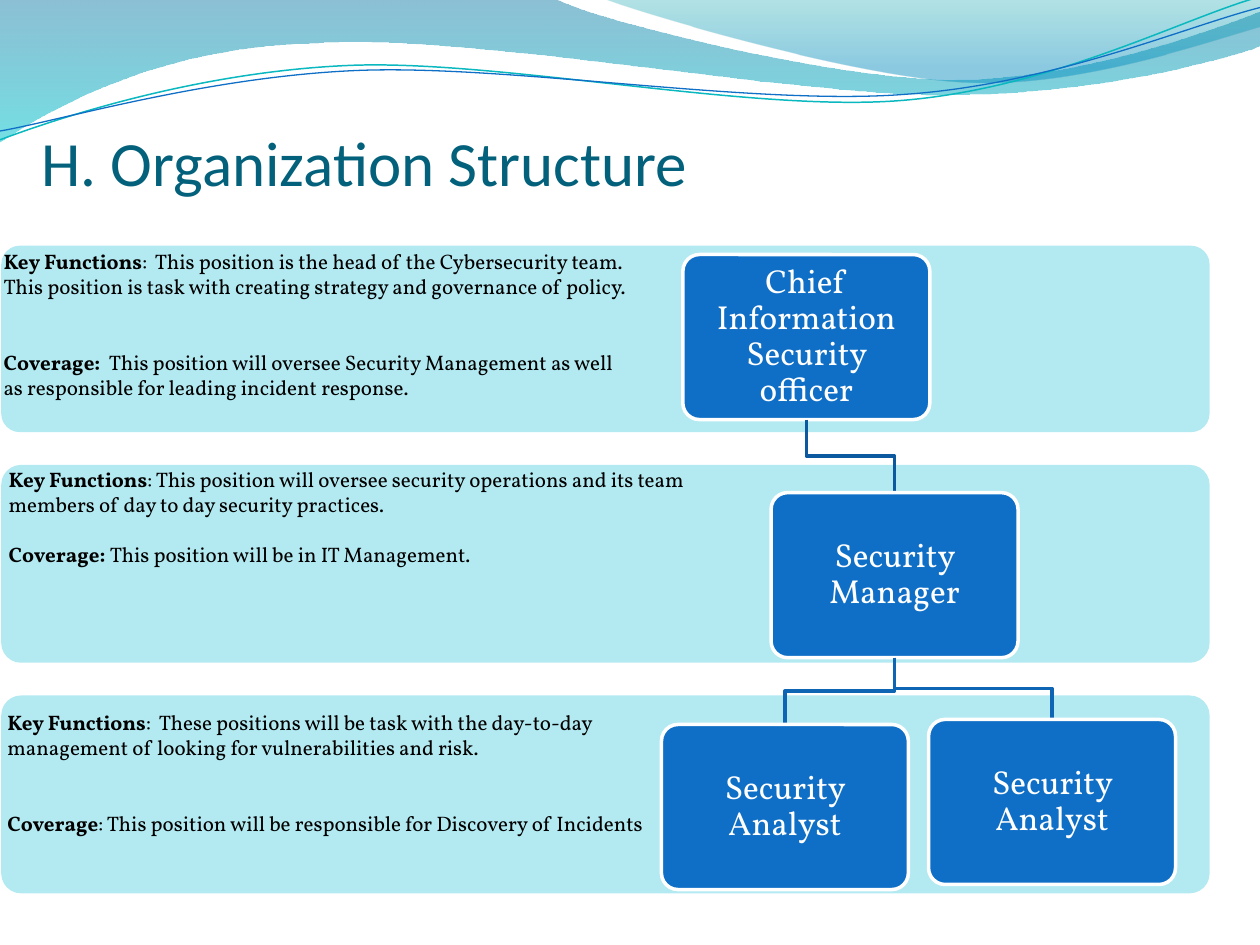
from lxml import etree
from pptx import Presentation
from pptx.dml.color import RGBColor
from pptx.enum.shapes import MSO_SHAPE
from pptx.enum.text import MSO_ANCHOR, PP_ALIGN
from pptx.oxml.ns import qn
from pptx.util import Inches, Pt

ROUND = MSO_SHAPE.ROUNDED_RECTANGLE
MIDDLE, BOTTOM = MSO_ANCHOR.MIDDLE, MSO_ANCHOR.BOTTOM
CENTER = PP_ALIGN.CENTER


def hue(code):
    return RGBColor.from_string(code)


def trace(start, parts, close=False):
    pen = slide.shapes.build_freeform(Inches(start[0]), Inches(start[1]))
    ends = [(Inches(part[-2]), Inches(part[-1])) for part in parts]
    pen.add_line_segments(ends, close=close)
    shape = pen.convert_to_shape()
    shape.shadow.inherit = False
    sides = list(shape.element.spPr.iter(qn("a:lnTo")))
    for side, part in zip(sides, parts):
        if len(part) == 6:
            bend = etree.Element(qn("a:cubicBezTo"))
            for x, y in zip(part[::2], part[1::2]):
                dot = etree.SubElement(bend, qn("a:pt"))
                dot.set("x", str(Inches(x) - shape.left))
                dot.set("y", str(Inches(y) - shape.top))
            side.getparent().replace(side, bend)
    return shape


deck = Presentation()
deck.slide_width, deck.slide_height = Inches(10), Inches(7.5)
slide = deck.slides.add_slide(deck.slide_layouts[6])

waves = [
    ((0, 0),
     [(4.4, -0.01), (4.76, 0.17, 6.64, 0.63, 7.58, 0.63),
      (8.53, 0.63, 9.58, 0.26, 10, 0.09), (10.01, 0.36),
      (9.83, 0.44, 8.7, 0.76, 7.46, 0.75),
      (6.22, 0.75, 3.82, 0.28, 2.57, 0.34),
      (1.29, 0.36, 0.46, 0.83, -0.01, 1.13), (0, 0)],
     [(0, "0074A1", 45), (1, "00C6CF", 55)]),
    ((4.79, -0.01),
     [(5.09, 0.11, 6.82, 0.62, 7.69, 0.65),
      (8.56, 0.69, 9.61, 0.32, 10, 0.21), (10, 0), (4.79, -0.01)],
     [(0, "00A1A9", 30), (0.8, "008BBF", 45)]),
]
for start, parts, stops in waves:
    wave = trace(start, parts, True)
    wave.line.fill.background()
    wave.fill.gradient()
    wave.fill.gradient_angle = 270
    for stop, (place, code, alpha) in zip(wave.fill.gradient_stops, stops):
        stop.position = place
        stop.color.rgb = hue(code)
    tones = wave.element.spPr.iter(qn("a:srgbClr"))
    for tone, (place, code, alpha) in zip(tones, stops):
        for old in list(tone):
            tone.remove(old)
        etree.SubElement(tone, qn("a:alpha")).set("val", str(alpha * 1000))

curves = [
    ((0, 1.11),
     [(0.48, 0.93, 1.58, 0.57, 2.77, 0.52),
      (3.95, 0.47, 5.93, 0.89, 7.13, 0.8),
      (8.33, 0.71, 9.38, 0.15, 9.98, -0.02)], "0AB8BF", 0.85),
    ((0, 1.04),
     [(0.47, 0.96, 1.64, 0.61, 2.83, 0.56),
      (4.03, 0.51, 5.97, 0.84, 7.17, 0.75),
      (8.36, 0.67, 9.41, 0.21, 10, 0.06)], "0F6FC6", 0.75),
]
for start, parts, code, width in curves:
    curve = trace(start, parts)
    curve.fill.background()
    curve.line.color.rgb = hue(code)
    curve.line.width = Pt(width)

title = slide.shapes.add_textbox(Inches(0.33), Inches(0.33), Inches(9), Inches(1.25))
frame = title.text_frame
style = {"word_wrap": True, "vertical_anchor": BOTTOM, "margin_left": 0,
         "margin_right": 0, "margin_bottom": 0}
for name, value in style.items():
    setattr(frame, name, value)
frame.text = "H. Organization Structure"
font = frame.paragraphs[0].runs[0].font
font.name, font.size = "Calibri", Pt(36)
font.color.rgb = hue("04617B")

for top, high in [(5.52, 1.57), (3.69, 1.57), (1.95, 1.48)]:
    band = slide.shapes.add_shape(ROUND, Inches(0.01), Inches(top), Inches(9.59), Inches(high))
    band.adjustments[0] = 0.1
    band.shadow.inherit = False
    band.fill.solid()
    band.fill.fore_color.rgb = hue("B3EAF2")
    band.line.fill.background()

wide, tall = 1.96, 1.31
inset = Inches(0.12)
style = {"word_wrap": True, "vertical_anchor": MIDDLE, "margin_left": inset,
         "margin_right": inset, "margin_top": inset, "margin_bottom": inset}
roles = [
    ("Chief Information Security officer", 5.42, 2.02, None, None),
    ("Security Manager", 6.12, 3.91, 0, "0C599F"),
    ("Security Analyst", 5.25, 5.75, 1, "0E65B4"),
    ("Security Analyst", 7.37, 5.71, 1, "0E65B4"),
]
for label, left, top, boss, code in roles:
    if boss is not None:
        x0, y0 = roles[boss][1] + wide / 2, roles[boss][2] + tall
        x1, mid = left + wide / 2, (y0 + top) / 2
        link = trace((x0, y0), [(x0, mid), (x1, mid), (x1, top)])
        link.fill.background()
        link.line.color.rgb = hue(code)
        link.line.width = Pt(2)
    box = slide.shapes.add_shape(ROUND, Inches(left), Inches(top), Inches(wide), Inches(tall))
    box.adjustments[0] = 0.1
    box.shadow.inherit = False
    box.fill.solid()
    box.fill.fore_color.rgb = hue("0F6FC6")
    box.line.color.rgb = hue("FFFFFF")
    box.line.width = Pt(2)
    for name, value in style.items():
        setattr(box.text_frame, name, value)
    box.text_frame.text = label
    para = box.text_frame.paragraphs[0]
    para.alignment, para.line_spacing = CENTER, 0.9
    font = para.runs[0].font
    font.name, font.size = "Vollkorn", Pt(19)
    font.color.rgb = hue("FFFFFF")

notes = [
    (-0.07, 1.92, 5.15, 1.31, 29, [
        ("Key Functions", ":  This position is the head of the Cybersecurity team.  "
         "This position is task with creating strategy and governance of policy."),
        ("Coverage:  ", "This position will oversee Security Management as well "
         "as responsible for leading incident response.")]),
    (-0.03, 3.65, 6.12, 0.91, 14.5, [
        ("Key Functions", ": This position will oversee security operations and its team "
         "members of day to day security practices."),
        ("Coverage: ", "This position will be in IT Management.")]),
    (-0.04, 5.58, 5.29, 1.51, 29, [
        ("Key Functions", ":  These positions will be task with the day-to-day "
         "management of looking for vulnerabilities and risk."),
        ("Coverage", ": This position will be responsible for Discovery of Incidents")]),
]
for left, top, width, high, gap, lines in notes:
    note = slide.shapes.add_textbox(Inches(left), Inches(top), Inches(width), Inches(high))
    frame = note.text_frame
    frame.word_wrap = True
    for row, pair in enumerate(lines):
        para = frame.add_paragraph() if row else frame.paragraphs[0]
        para.space_before = Pt(gap * row)
        for bold, words in zip((True, False), pair):
            run = para.add_run()
            run.text = words
            style = {"name": "Vollkorn", "size": Pt(12), "bold": bold}
            for name, value in style.items():
                setattr(run.font, name, value)
            run.font.color.rgb = hue("000000")

deck.save("out.pptx")
